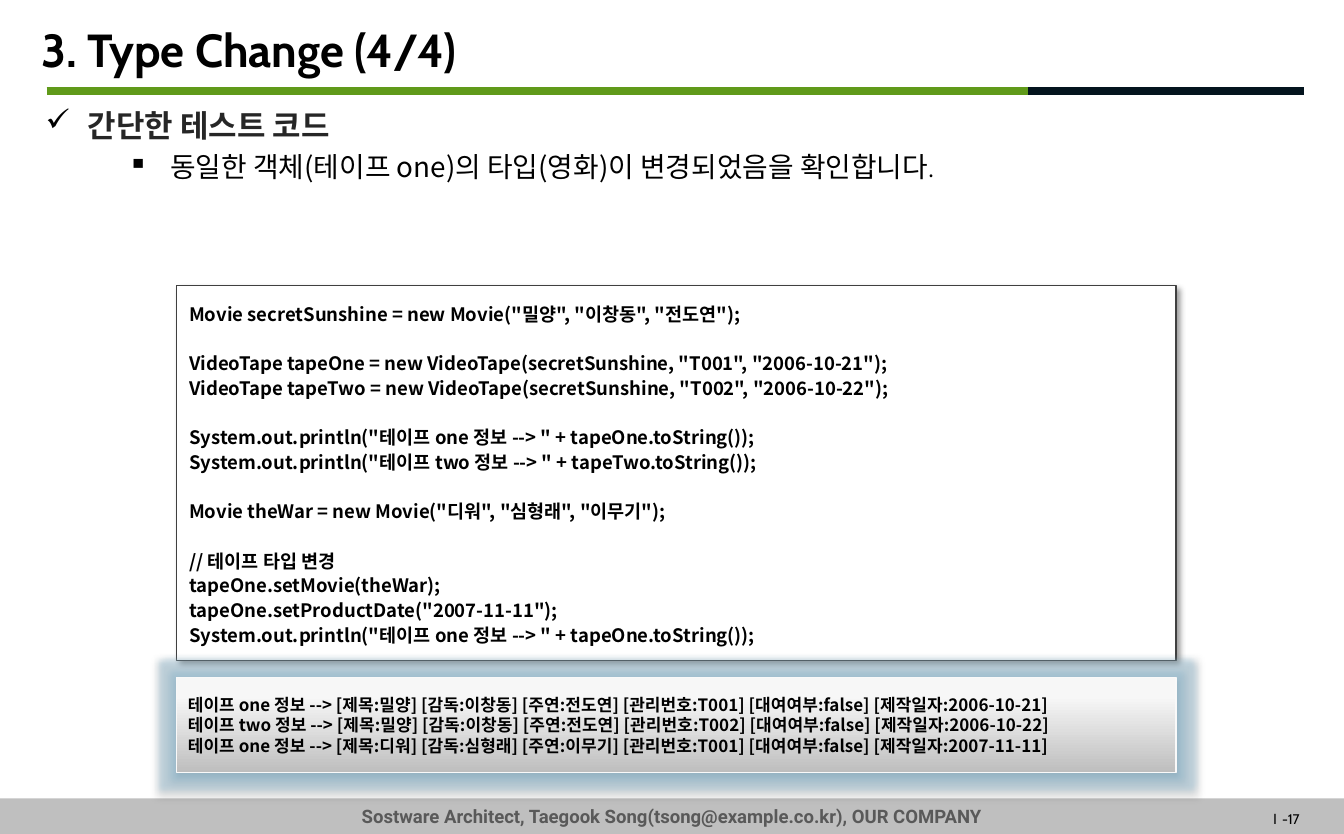
from lxml.etree import SubElement
from pptx import Presentation
from pptx.dml.color import RGBColor
from pptx.enum.shapes import MSO_CONNECTOR, MSO_SHAPE
from pptx.enum.text import MSO_ANCHOR, PP_ALIGN
from pptx.oxml.ns import qn
from pptx.util import Inches, Pt

KOREAN = "Noto Sans CJK KR"
LATIN = "Cabin"
FOOTER_FONT = "Roboto"

CODE_GROUPS = [
    ['Movie secretSunshine = new Movie("밀양", "이창동", "전도연");'],
    ['VideoTape tapeOne = new VideoTape(secretSunshine, "T001", "2006-10-21");',
     'VideoTape tapeTwo = new VideoTape(secretSunshine, "T002", "2006-10-22");'],
    ['System.out.println("테이프 one 정보 --> " + tapeOne.toString());',
     'System.out.println("테이프 two 정보 --> " + tapeTwo.toString());'],
    ['Movie theWar = new Movie("디워", "심형래", "이무기");'],
    ['// 테이프 타입 변경',
     'tapeOne.setMovie(theWar);',
     'tapeOne.setProductDate("2007-11-11");',
     'System.out.println("테이프 one 정보 --> " + tapeOne.toString());'],
]
OUTPUT_ROWS = [
    ("one", "밀양", "이창동", "전도연", "T001", "2006-10-21"),
    ("two", "밀양", "이창동", "전도연", "T002", "2006-10-22"),
    ("one", "디워", "심형래", "이무기", "T001", "2007-11-11"),
]


def color(hex_code):
    return RGBColor.from_string(hex_code)


def add_text(paragraph, text, size=12, font=KOREAN, fill="000000", bold=False):
    run = paragraph.add_run()
    run.text = text
    run.font.size = Pt(size)
    run.font.name = font
    run.font.bold = bold
    run.font.color.rgb = color(fill)
    SubElement(run.font._element, qn("a:ea"), typeface=font)


def add_effect(effects, kind, hex_code, alpha, **attributes):
    effect = SubElement(effects, qn(f"a:{kind}"), **attributes)
    tint = SubElement(effect, qn("a:srgbClr"), val=hex_code)
    SubElement(tint, qn("a:alpha"), val=str(alpha * 1000))


class SlideBuilder:
    def __init__(self, slide):
        self.slide = slide

    def frame(self, shape, anchor, insets):
        frame = shape.text_frame
        frame.word_wrap = True
        frame.vertical_anchor = anchor
        side, top = (Inches(inset) for inset in insets)
        frame.margin_left = frame.margin_right = side
        frame.margin_top = frame.margin_bottom = top
        return frame

    def text_box(self, left, top, width, height,
                 anchor=MSO_ANCHOR.TOP, insets=(0.1, 0.05)):
        box = self.slide.shapes.add_textbox(
            Inches(left), Inches(top), Inches(width), Inches(height))
        return self.frame(box, anchor, insets)

    def panel(self, left, top, width, height, fill=None, line=None, insets=(0.1, 0.05)):
        panel = self.slide.shapes.add_shape(
            MSO_SHAPE.RECTANGLE, Inches(left), Inches(top), Inches(width), Inches(height))
        panel.shadow.inherit = False
        if fill:
            panel.fill.solid()
            panel.fill.fore_color.rgb = color(fill)
        if line:
            panel.line.color.rgb = color(line)
            panel.line.width = Pt(0.75)
        else:
            panel.line.fill.background()
        return panel, self.frame(panel, MSO_ANCHOR.MIDDLE, insets)

    def rule(self, left, right, y, line):
        rule = self.slide.shapes.add_connector(
            MSO_CONNECTOR.STRAIGHT, Inches(left), Inches(y), Inches(right), Inches(y))
        rule.line.color.rgb = color(line)
        rule.line.width = Pt(5)
        SubElement(rule._element.spPr, qn("a:effectLst"))

    def shadow(self, panel, alpha, blur, distance, angle, glow=None):
        effects = panel._element.spPr.find(qn("a:effectLst"))
        if glow:
            add_effect(effects, "glow", glow, 40, rad=str(Pt(8)))
        add_effect(effects, "outerShdw", "000000", alpha, blurRad=str(Pt(blur)),
                   dist=str(Pt(distance)), dir=str(angle * 60000),
                   algn="ctr", rotWithShape="0")

    def paragraph(self, frame, first=False, align=PP_ALIGN.LEFT, spacing=None, before=0):
        paragraph = frame.paragraphs[0] if first else frame.add_paragraph()
        paragraph.alignment = align
        paragraph.space_before = Pt(before)
        if spacing:
            paragraph.line_spacing = Pt(spacing)
        return paragraph

    def bullet(self, paragraph, mark, indent):
        props = paragraph._p.get_or_add_pPr()
        props.set("marL", str(Inches(indent)))
        props.set("indent", str(Inches(-0.38)))
        mark_color = SubElement(props, qn("a:buClr"))
        SubElement(mark_color, qn("a:srgbClr"), val="000000")
        SubElement(props, qn("a:buChar"), char=mark)


def main():
    deck = Presentation()
    deck.slide_width, deck.slide_height = Inches(12.08), Inches(7.5)
    page = SlideBuilder(deck.slides.add_slide(deck.slide_layouts[6]))

    # Footer and page number
    _, footer = page.panel(0, 7.18, 12.08, 0.32, fill="BFBFBF")
    add_text(page.paragraph(footer, first=True, align=PP_ALIGN.CENTER),
             "Sostware Architect, Taegook Song(tsong@example.co.kr), OUR COMPANY",
             font=FOOTER_FONT, fill="595959", bold=True)
    page_number = page.paragraph(page.text_box(11, 7.24, 1.08, 0.26),
                                 first=True, align=PP_ALIGN.CENTER)
    add_text(page_number, "Ⅰ", size=9)
    add_text(page_number, "-17", size=9, font=LATIN)

    # Title and its rule
    page.rule(0.42, 9.64, 0.82, "609A1A")
    page.rule(9.24, 11.72, 0.82, "04141E")
    title = page.text_box(0.37, 0.13, 11.32, 0.63, MSO_ANCHOR.MIDDLE, (0, 0))
    add_text(page.paragraph(title, first=True), "3. Type Change (4/4)",
             size=30, font=LATIN, bold=True)

    # Bulleted introduction
    intro = page.text_box(0.37, 0.91, 11.39, 0.8, insets=(0.04, 0.05))
    heading = page.paragraph(intro, first=True, spacing=24, before=6)
    page.bullet(heading, "✓", 0.38)
    add_text(heading, "간단한 테스트 코드", size=20, fill="262626", bold=True)
    detail = page.paragraph(intro, spacing=22, before=3.6)
    detail.level = 1
    page.bullet(detail, "▪", 1.12)
    add_text(detail, "동일한 객체(테이프 one)의 타입(영화)이 변경되었음을 확인합니다", size=18)
    add_text(detail, ".", size=14)

    # Test code
    code_panel, code = page.panel(1.59, 2.57, 8.98, 3.37, fill="FFFFFF",
                                  line="404040", insets=(0.11, 0.06))
    page.shadow(code_panel, alpha=40, blur=4, distance=3, angle=45)
    for group_index, group in enumerate(CODE_GROUPS):
        for line_index, statement in enumerate(group):
            first = group_index == line_index == 0
            gap = 16 if group_index and line_index == 0 else 0
            add_text(page.paragraph(code, first, spacing=16, before=gap),
                     statement, bold=True)

    # Program output
    output_panel, output = page.panel(1.59, 6.09, 8.98, 0.86, line="F9F9F9")
    output_panel.fill.gradient()
    output_panel.fill.gradient_angle = 90
    for stop, position, shade in zip(output_panel.fill.gradient_stops,
                                     (0, 0.8), ("BEBEBE", "F7F7F7")):
        stop.position = position
        stop.color.rgb = color(shade)
    page.shadow(output_panel, alpha=35, blur=3.1, distance=1.8, angle=90, glow="8FBCD4")
    for row, (tape, movie, director, actor, code_number, made) in enumerate(OUTPUT_ROWS):
        add_text(page.paragraph(output, first=row == 0, spacing=13.4),
                 f"테이프 {tape} 정보 --> [제목:{movie}] [감독:{director}] [주연:{actor}] "
                 f"[관리번호:{code_number}] [대여여부:false] [제작일자:{made}]",
                 size=11, bold=True)

    deck.save("out.pptx")


if __name__ == "__main__":
    main()
